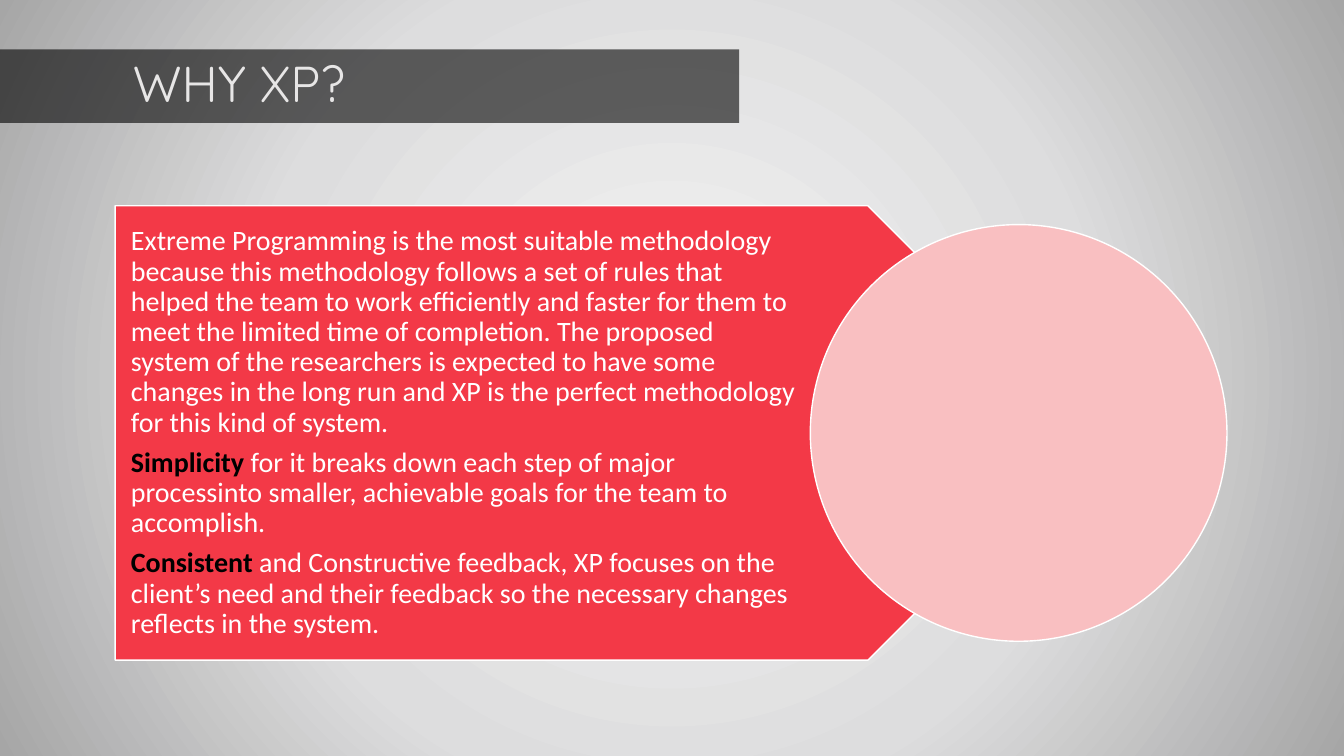
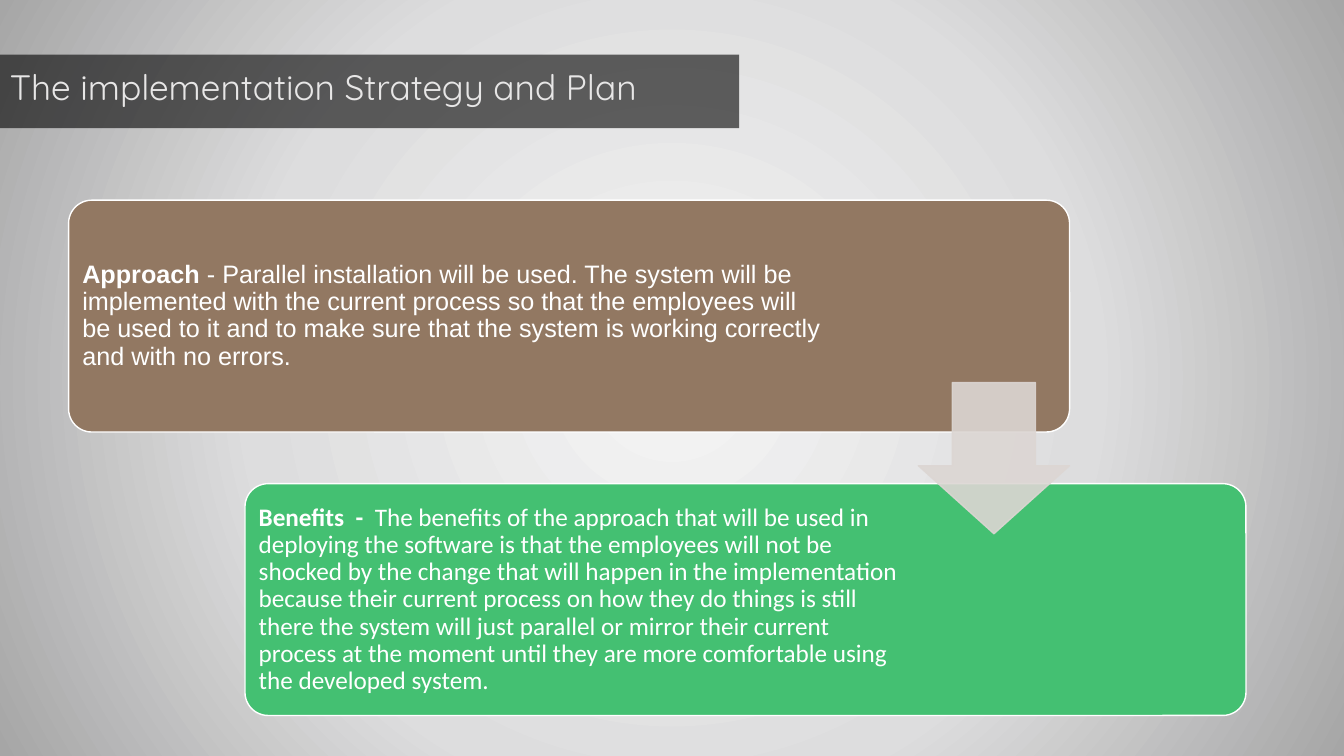
"""Build the two slides on method choice and rollout plan."""
from dataclasses import dataclass
from typing import Any, NamedTuple

from lxml.etree import SubElement as Sub
from pptx import Presentation
from pptx.dml.color import RGBColor as Rgb
from pptx.enum.shapes import MSO_SHAPE as Form
from pptx.enum.text import MSO_ANCHOR as Anchor, PP_ALIGN as Align
from pptx.oxml.ns import qn
from pptx.util import Pt

WIDE, HIGH = 960, 540
HUES = {
    "black": "000000", "white": "FFFFFF", "pale": "E7E6E6",
    "red": "F33947", "pink": "F9BFC1", "brown": "927862",
    "green": "44C072", "sand": "DCD6D3",
    "glow": "F2F2F2", "mist": "DDDDDE", "edge": "A6A6A6",
}
STOPS = {6: "glow", 55: "mist", 100: "edge"}
SIDES = ("margin_left", "margin_top", "margin_right", "margin_bottom")
HEAD = {"name": "Quicksand"}


class Box(NamedTuple):
    left: float
    top: float
    width: float
    height: float


class Run(NamedTuple):
    text: str
    hue: str = "white"
    bold: bool = False


@dataclass
class Title:
    text: str
    top: float
    size: float
    pad: float
    pitch: float


@dataclass
class Card:
    hue: str
    width: float
    font: str
    runs: list[Run]


def shade(fill: Any, hue: str, alpha: int = 100) -> None:
    fill.solid()
    fill.fore_color.rgb = Rgb.from_string(HUES[hue])
    if alpha < 100:
        tone = fill._xPr.find(f".//{qn('a:srgbClr')}")
        Sub(tone, qn("a:alpha"), val=str(alpha * 1000))


def draw(slide: Any, form: Form, box: Box, hue: str, edge: str = "",
         alpha: int = 100, bends: tuple[float, ...] = ()) -> Any:
    shape = slide.shapes.add_shape(form, *map(Pt, box))
    shape.shadow.inherit = False
    for spot, bend in enumerate(bends):
        shape.adjustments[spot] = bend
    shade(shape.fill, hue, alpha)
    if edge:
        shade(shape.line.fill, edge, alpha)
        shape.line.width = Pt(1)
    else:
        shape.line.fill.background()
    return shape


def write(shape: Any, paras: list[list[Run]], style: dict[str, Any],
          pads: tuple[float, ...], pitch: float = 0.9, after: float = 0) -> None:
    frame = shape.text_frame
    frame.word_wrap = True
    frame.vertical_anchor = Anchor.MIDDLE
    for side, pad in zip(SIDES, pads):
        setattr(frame, side, Pt(pad))
    form = {"alignment": Align.LEFT, "line_spacing": pitch, "space_after": Pt(after)}
    for rank, runs in enumerate(paras):
        para = frame.add_paragraph() if rank else frame.paragraphs[0]
        for key, value in form.items():
            setattr(para, key, value)
        for part in runs:
            run = para.add_run()
            run.text = part.text
            for key, value in {**style, "bold": part.bold}.items():
                setattr(run.font, key, value)
            run.font.color.rgb = Rgb.from_string(HUES[part.hue])


def paint(master: Any) -> None:
    master.background.fill.gradient()
    grad = master.element.find(f".//{qn('p:bg')}//{qn('a:gradFill')}")
    for child in list(grad):
        grad.remove(child)
    stops = Sub(grad, qn("a:gsLst"))
    for place, hue in STOPS.items():
        stop = Sub(stops, qn("a:gs"), pos=str(place * 1000))
        Sub(stop, qn("a:srgbClr"), val=HUES[hue])
    route = Sub(grad, qn("a:path"), path="circle")
    Sub(route, qn("a:fillToRect"), **dict.fromkeys("ltrb", "50000"))


def start(deck: Any, title: Title) -> Any:
    slide = deck.slides.add_slide(deck.slide_layouts[6])
    band = draw(slide, Form.RECTANGLE, Box(0, title.top, 528, 52.5), "black", alpha=60)
    write(band, [[Run(title.text, "pale")]], {**HEAD, "size": Pt(title.size)},
          (title.pad, 3.6, 7.2, 3.6), title.pitch)
    return slide


def reasons(deck: Any) -> None:
    slide = start(deck, Title("WHY XP?", 35.3, 36, 95, 0.9))
    plate = Box(82.3, 147, 700, 324.5)
    draw(slide, Form.PENTAGON, plate, "red", "white")
    note = slide.shapes.add_textbox(*map(Pt, plate._replace(width=618.5)))
    write(note, [
        [Run("Extreme Programming is the most suitable methodology because this "
             "methodology follows a set of rules that helped the team to work "
             "efficiently and faster for them to meet the limited time of completion. "
             "The proposed system of the researchers is expected to have some changes "
             "in the long run and XP is the perfect methodology for this kind of system.")],
        [Run("Simplicity ", "black", True),
         Run("for it breaks down each step of major processinto smaller, achievable "
             "goals for the team to accomplish.")],
        [Run("Consistent", "black", True),
         Run(" and Constructive feedback, XP focuses on the client’s need and their "
             "feedback so the necessary changes reflects in the system.")],
    ], {"name": "Calibri", "size": Pt(20)}, (11.2, 6, 131, 6), after=7)
    size = 297.6
    disc = Box(578.8, plate.top + (plate.height - size) / 2, size, size)
    draw(slide, Form.OVAL, disc, "pink", "white")


def rollout(deck: Any) -> None:
    slide = start(deck, Title("The implementation Strategy and Plan", 39, 25.2, 7.2, 0.7))
    first = Box(49, 143, 715, 165.6)
    cards = [
        Card("brown", 543.6, "Arial", [
            Run("Approach ", bold=True),
            Run("- Parallel installation will be used. The system will be implemented "
                "with the current process so that the employees will be used to it and "
                "to make sure that the system is working correctly and with no errors.")]),
        Card("green", 471.6, "Calibri", [
            Run("Benefits  -  ", bold=True),
            Run("The benefits of the approach that will be used in deploying the "
                "software is that the employees will not be shocked by the change that "
                "will happen in the implementation because their current process on how "
                "they do things is still there the system will just parallel or mirror "
                "their current process at the moment until they are more comfortable "
                "using the developed system.")]),
    ]
    inset = 4.8
    for rank, card in enumerate(cards):
        box = first._replace(left=first.left + rank * 126, top=first.top + rank * 202.5)
        draw(slide, Form.ROUNDED_RECTANGLE, box, card.hue, "white", bends=(0.1,))
        area = Box(box.left + inset, box.top + inset, card.width, box.height - 2 * inset)
        note = slide.shapes.add_textbox(*map(Pt, area))
        write(note, [card.runs], {"name": card.font, "size": Pt(18)}, (5,) * 4, after=6.3)
    size = 108
    arrow = Box(first.left + first.width - size, 273.3, size, size)
    draw(slide, Form.DOWN_ARROW, arrow, "sand", "sand", 90, (0.55, 0.45))


def main() -> None:
    deck = Presentation()
    deck.slide_width, deck.slide_height = Pt(WIDE), Pt(HIGH)
    paint(deck.slide_master)
    reasons(deck)
    rollout(deck)
    deck.save("out.pptx")


if __name__ == "__main__":
    main()
